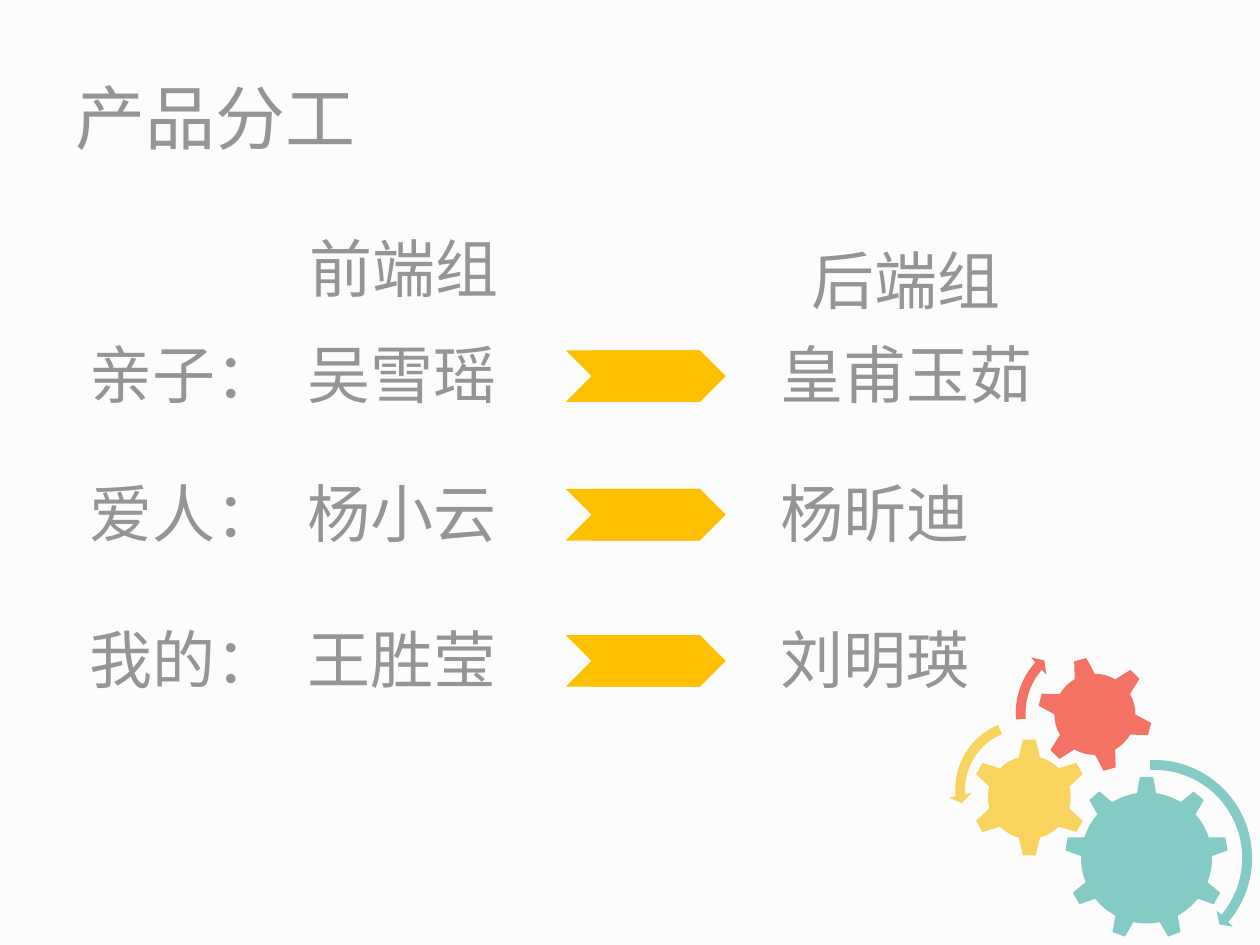
from dataclasses import dataclass

import pptx
import pptx.dml.color
import pptx.enum.shapes
import pptx.enum.text
import pptx.shapes.autoshape
import pptx.util

RGBColor = pptx.dml.color.RGBColor
Shape = pptx.enum.shapes.MSO_SHAPE
Inches = pptx.util.Inches

PAPER = RGBColor(0xFC, 0xFC, 0xFC)
GRAY = RGBColor(0x95, 0x95, 0x95)
AMBER = RGBColor(0xFF, 0xC0, 0x00)
TEAL = RGBColor(0x84, 0xCB, 0xC5)
YELLOW = RGBColor(0xF8, 0xD3, 0x5E)
CORAL = RGBColor(0xF4, 0x72, 0x64)

FONT = "Cabin"
LABEL_COLUMN, FRONT_COLUMN, ARROW_COLUMN, BACK_COLUMN = 0.61, 2.34, 4.49, 6.1
CELL_WIDTH, CELL_HEIGHT = 2.63, 0.75
ARROW_WIDTH, ARROW_HEIGHT = 1.27, 0.41
ARROW_DROP = 0.19
ARROW_NOTCH = ARROW_HEIGHT / 2


@dataclass
class Assignment:
    top: float
    product: str
    front: str
    back: str


@dataclass
class GearPart:
    kind: Shape
    left: float
    top: float
    size: float
    color: RGBColor
    rotation: float = 0
    adjustments: tuple[float, ...] = ()


ASSIGNMENTS = [
    Assignment(2.59, "亲子：", "吴雪瑶", "皇甫玉茹"),
    Assignment(3.69, "爱人：", "杨小云", "杨昕迪"),
    Assignment(4.85, "我的：", "王胜莹", "刘明瑛"),
]

# Angles among the arrow adjustments are in units of 5/3 degrees.
GEAR_PARTS = [
    GearPart(Shape.GEAR_9, 8.45, 6.16, 1.3, TEAL),
    GearPart(Shape.GEAR_6, 7.7, 5.86, 0.94, YELLOW),
    GearPart(Shape.GEAR_6, 8.23, 5.21, 0.92, CORAL, rotation=345),
    GearPart(Shape.CIRCULAR_ARROW, 8.33, 5.98, 1.66, TEAL,
             adjustments=(0.047, 2.99, 24.33, 160.54, 0.055)),
    GearPart(Shape.LEFT_CIRCULAR_ARROW, 7.53, 5.66, 1.21, YELLOW,
             adjustments=(0.065, 4.3, 104.89, 148.38, 0.075)),
    GearPart(Shape.CIRCULAR_ARROW, 8.01, 5.01, 1.3, CORAL,
             adjustments=(0.06, 3.94, 133.14, 105.08, 0.07)),
]


def add_text(shapes, text: str, left: float, top: float, width: float = CELL_WIDTH,
             height: float = CELL_HEIGHT, size: int = 36) -> None:
    box = shapes.add_textbox(Inches(left), Inches(top), Inches(width), Inches(height))
    frame = box.text_frame
    frame.word_wrap = True
    frame.vertical_anchor = pptx.enum.text.MSO_ANCHOR.MIDDLE
    paragraph = frame.paragraphs[0]
    paragraph.text = text
    paragraph.font.name = FONT
    paragraph.font.size = pptx.util.Pt(size)
    paragraph.font.color.rgb = GRAY


def add_solid(shapes, kind: Shape, left: float, top: float, width: float,
              height: float, color: RGBColor) -> pptx.shapes.autoshape.Shape:
    """Add a preset shape with a plain fill and no outline or shadow."""
    shape = shapes.add_shape(kind, Inches(left), Inches(top), Inches(width), Inches(height))
    shape.shadow.inherit = False
    shape.fill.solid()
    shape.fill.fore_color.rgb = color
    shape.line.fill.background()
    return shape


def add_ribbon_arrow(shapes, top: float) -> None:
    """Group a chevron with a bar that fills the space between its notch and point."""
    group = shapes.add_group_shape()
    add_solid(group.shapes, Shape.CHEVRON, ARROW_COLUMN, top, ARROW_WIDTH, ARROW_HEIGHT, AMBER)
    add_solid(group.shapes, Shape.RECTANGLE, ARROW_COLUMN + ARROW_NOTCH, top,
              ARROW_WIDTH - 2 * ARROW_NOTCH, ARROW_HEIGHT, AMBER)


def add_assignment(shapes, assignment: Assignment) -> None:
    add_ribbon_arrow(shapes, assignment.top + ARROW_DROP)
    add_text(shapes, assignment.back, BACK_COLUMN, assignment.top)
    add_text(shapes, assignment.product, LABEL_COLUMN, assignment.top)
    add_text(shapes, assignment.front, FRONT_COLUMN, assignment.top)


def add_gears(shapes, parts: list[GearPart]) -> None:
    group = shapes.add_group_shape()
    for part in parts:
        shape = add_solid(group.shapes, part.kind, part.left, part.top,
                          part.size, part.size, part.color)
        shape.rotation = part.rotation
        for index, value in enumerate(part.adjustments):
            shape.adjustments[index] = value


def main() -> None:
    presentation = pptx.Presentation()
    presentation.slide_width = Inches(10)
    presentation.slide_height = Inches(7.5)
    slide = presentation.slides.add_slide(presentation.slide_layouts[6])
    slide.background.fill.solid()
    slide.background.fill.fore_color.rgb = PAPER

    add_text(slide.shapes, "产品分工", 0.5, 0.3, width=8.83, height=1.25, size=40)
    add_text(slide.shapes, "前端组", 2.36, 1.75)
    add_text(slide.shapes, "后端组", 6.34, 1.84)
    for assignment in ASSIGNMENTS:
        add_assignment(slide.shapes, assignment)
    add_gears(slide.shapes, GEAR_PARTS)
    presentation.save("out.pptx")


if __name__ == "__main__":
    main()
